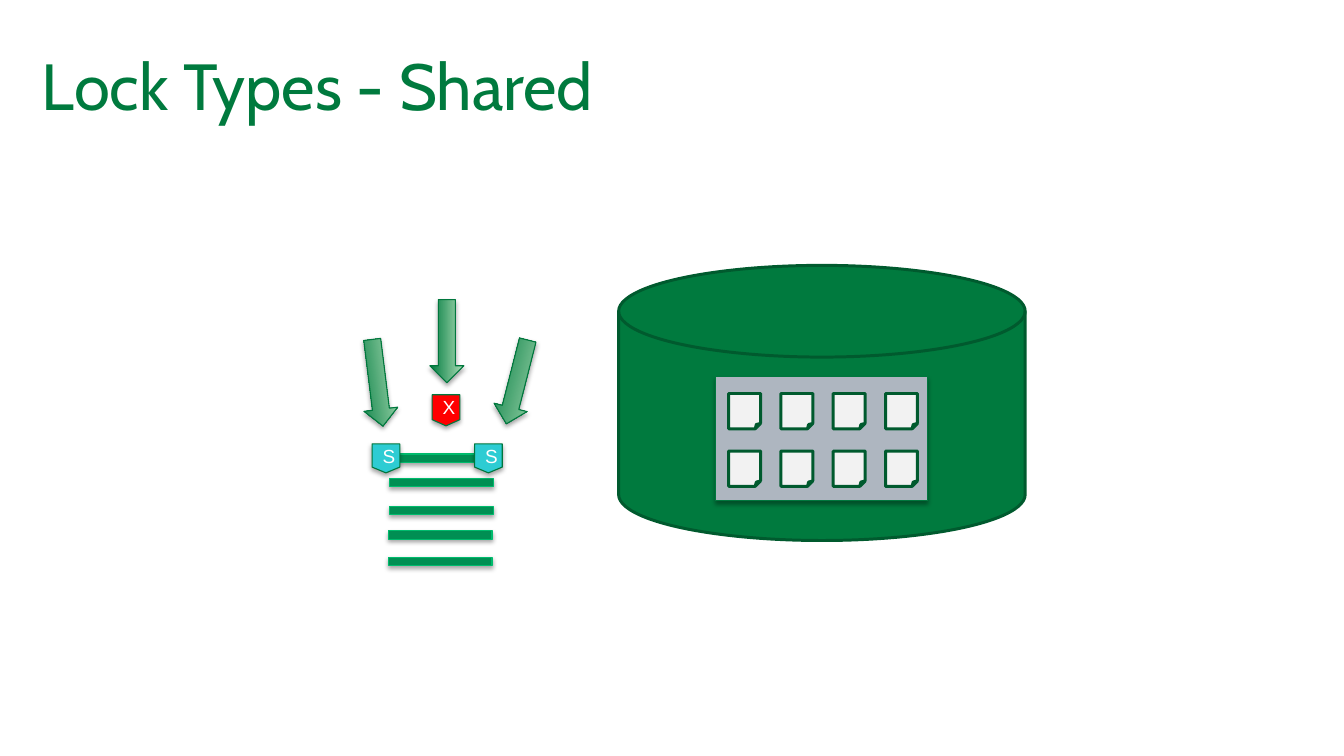
import lxml.etree
import pptx
import pptx.dml.color
import pptx.enum.shapes
import pptx.enum.text
import pptx.oxml.ns
import pptx.util

Cm = pptx.util.Cm
Pt = pptx.util.Pt
RGBColor = pptx.dml.color.RGBColor
Shape = pptx.enum.shapes.MSO_SHAPE
qn = pptx.oxml.ns.qn

GREEN = RGBColor(0x00, 0x7A, 0x3E)
DARK_GREEN = RGBColor(0x00, 0x5A, 0x2E)
EDGE_GREEN = RGBColor(0x00, 0x77, 0x3D)
PALE_GREEN = RGBColor(0xAB, 0xDD, 0xB6)
BAR_GREEN = RGBColor(0x00, 0x8F, 0x53)
BAR_EDGE = RGBColor(0x00, 0xBB, 0x6D)
GRAY = RGBColor(0xAE, 0xB6, 0xC0)
PAPER = RGBColor(0xF2, 0xF2, 0xF2)
CYAN = RGBColor(0x2D, 0xCC, 0xD3)
RED = RGBColor(0xFF, 0x00, 0x00)
WHITE = RGBColor(0xFF, 0xFF, 0xFF)


class LockSlide:
    title_font = "Cabin"
    label_font = "Arial"

    def __init__(self, deck):
        self.page = deck.slides.add_slide(deck.slide_layouts[5])

    def title(self, text, left, top, width, height):
        box = self.page.shapes.title
        box.left, box.top, box.width, box.height = map(Cm, (left, top, width, height))
        frame = box.text_frame
        frame.text = text
        frame.word_wrap = True
        frame.auto_size = pptx.enum.text.MSO_AUTO_SIZE.NONE
        frame.vertical_anchor = pptx.enum.text.MSO_ANCHOR.MIDDLE
        frame.margin_left = frame.margin_right = 0
        frame.margin_top = frame.margin_bottom = 0
        self.format_text(frame, self.title_font, 44, GREEN,
                         pptx.enum.text.PP_ALIGN.LEFT)

    def format_text(self, frame, name, size, color, alignment):
        para = frame.paragraphs[0]
        para.alignment = alignment
        for span in para.runs:
            span.font.name = name
            span.font.size = Pt(size)
            span.font.color.rgb = color

    def shape(self, kind, bounds, fill, line, weight):
        box = self.page.shapes.add_shape(kind, *map(Cm, bounds))
        box.shadow.inherit = False
        box.fill.solid()
        box.fill.fore_color.rgb = fill
        box.line.color.rgb = line
        box.line.width = Pt(weight)
        return box

    def raised(self, kind, bounds, fill, line=EDGE_GREEN):
        box = self.shape(kind, bounds, fill, line, 0.75)
        effects = box.element.spPr.find(qn("a:effectLst"))
        shadow = lxml.etree.SubElement(
            effects, qn("a:outerShdw"), blurRad=str(Pt(3.1)), dist=str(Pt(1.8)),
            dir="5400000", rotWithShape="0")
        black = lxml.etree.SubElement(shadow, qn("a:srgbClr"), val="000000")
        lxml.etree.SubElement(black, qn("a:alpha"), val="35000")
        return box

    def arrow(self, bounds, rotation):
        box = self.raised(Shape.RIGHT_ARROW, bounds, GREEN)
        box.rotation = rotation
        box.fill.gradient()
        box.fill.gradient_angle = 90
        stops = box.fill.gradient_stops
        for stop, position, color in zip(stops, (0, 1), (GREEN, PALE_GREEN)):
            stop.position = position
            stop.color.rgb = color

    def badge(self, letter, bounds, fill):
        box = self.raised(Shape.FLOWCHART_OFFPAGE_CONNECTOR, bounds, fill)
        frame = box.text_frame
        frame.text = letter
        frame.vertical_anchor = pptx.enum.text.MSO_ANCHOR.MIDDLE
        self.format_text(frame, self.label_font, 12.8, WHITE,
                         pptx.enum.text.PP_ALIGN.CENTER)


def main():
    deck = pptx.Presentation()
    deck.slide_width, deck.slide_height = Cm(32), Cm(18)
    slide = LockSlide(deck)
    slide.title("Lock Types - Shared", 1, 1, 30, 2)

    slide.shape(Shape.FLOWCHART_MAGNETIC_DISK, (14.73, 6.32, 9.68, 6.55),
                GREEN, DARK_GREEN, 2)
    slide.raised(Shape.RECTANGLE, (17.04, 8.97, 5.05, 2.95), GRAY)
    for row in range(2):
        for column in range(4):
            slide.shape(Shape.FOLDED_CORNER,
                        (17.35 + 1.245 * column, 9.37 + 1.37 * row, 0.76, 0.84),
                        PAPER, DARK_GREEN, 2)

    for left, top in ((8.86, 10.49), (8.84, 11.07), (8.84, 11.73),
                      (8.81, 12.32), (8.81, 12.95)):
        slide.raised(Shape.MATH_MINUS, (left, top, 3.35, 0.84), BAR_GREEN, BAR_EDGE)

    for left in (8.86, 11.3):
        slide.badge("S", (left, 10.57, 0.66, 0.69), CYAN)
    slide.badge("X", (10.29, 9.4, 0.66, 0.74), RED)

    slide.arrow((7.95, 8.71, 2.08, 0.81), 82.9)
    slide.arrow((9.65, 7.72, 1.98, 0.81), 90)
    slide.arrow((11.28, 8.69, 2.06, 0.81), 104.3)

    deck.save("out.pptx")


if __name__ == "__main__":
    main()
